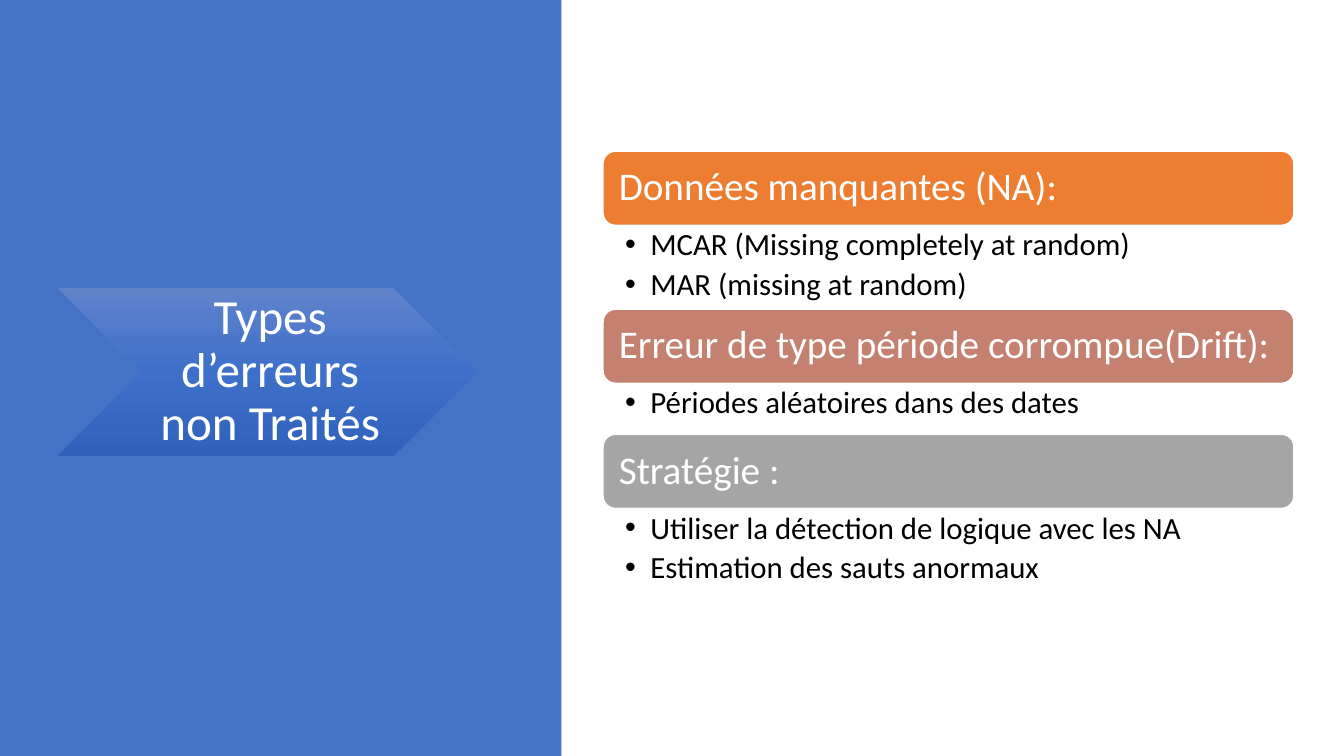
from copy import deepcopy

from pptx import Presentation
from pptx.dml.color import RGBColor
from pptx.enum.shapes import MSO_SHAPE as Shape
from pptx.enum.text import MSO_ANCHOR as Anchor, MSO_AUTO_SIZE as AutoSize, PP_ALIGN as Align
from pptx.oxml.ns import qn
from pptx.oxml.xmlchemy import OxmlElement
from pptx.util import Inches, Pt

COLORS = {
    "white": "FFFFFF",
    "black": "000000",
    "panel": "4472C4",
    "orange": "ED7D31",
    "clay": "C48170",
    "grey": "A5A5A5",
    "arrow_top": "6183CB",
    "arrow_middle": "3E70CA",
    "arrow_bottom": "3062BB",
}
FONT = "Calibri"
COMPARISON_LAYOUT = 4
LEFT, WIDTH, TOP, HEADING_HEIGHT = 44.87, 51.4, 20, 9.8

SECTIONS = [
    ("Données manquantes (NA):", "orange", 11.1,
     ["MCAR (Missing completely at random)", "MAR (missing at random)"]),
    ("Erreur de type période corrompue(Drift):", "clay", 6.75,
     ["Périodes aléatoires dans des dates"]),
    ("Stratégie :", "grey", 11.1,
     ["Utiliser la détection de logique avec les NA", "Estimation des sauts anormaux"]),
]


def rgb(name):
    return RGBColor.from_string(COLORS[name])


def add_bullet(para, indent):
    properties = para._p.get_or_add_pPr()
    properties.set("marL", str(indent))
    properties.set("indent", str(-indent))
    bullet = OxmlElement("a:buChar")
    bullet.set("char", "•")
    properties.append(bullet)


def write(box, lines, size, color="white", align=Align.LEFT, anchor=Anchor.MIDDLE,
          margins=(0.12, 0.12, 0.12, 0.12), after=0, bullets=False):
    frame = box.text_frame
    frame.word_wrap = True
    frame.auto_size = AutoSize.NONE
    frame.vertical_anchor = anchor
    (frame.margin_left, frame.margin_top,
     frame.margin_right, frame.margin_bottom) = map(Inches, margins)
    for index, line in enumerate(lines):
        para = frame.add_paragraph() if index else frame.paragraphs[0]
        para.alignment = align
        para.line_spacing = 0.9
        para.space_before = Pt(0)
        para.space_after = Pt(after)
        if bullets:
            add_bullet(para, Inches(0.25))
        span = para.add_run()
        span.text = line
        span.font.name = FONT
        span.font.size = Pt(size)
        span.font.bold = False
        span.font.color.rgb = rgb(color)


class SlideBuilder:
    def __init__(self, deck):
        self.deck = deck
        self.page = deck.slides.add_slide(deck.slide_layouts[COMPARISON_LAYOUT])
        self.bodies = [box for box in self.page.placeholders
                       if box != self.page.shapes.title]

    def area(self, left, top, width, height):
        across, down = self.deck.slide_width / 100, self.deck.slide_height / 100
        return (round(left * across), round(top * down),
                round(width * across), round(height * down))

    def shape(self, kind, area, fill=None, line=None):
        box = self.page.shapes.add_shape(kind, *self.area(*area))
        box.shadow.inherit = False
        if fill:
            box.fill.solid()
            box.fill.fore_color.rgb = rgb(fill)
        if line:
            box.line.color.rgb = rgb(line)
            box.line.width = Pt(1)
        else:
            box.line.fill.background()
        return box

    def arrow(self, area, colors):
        box = self.shape(Shape.CHEVRON, area)
        box.fill.gradient()
        box.fill.gradient_angle = 270
        stops = box.element.spPr.find(".//" + qn("a:gsLst"))
        stops.insert(1, deepcopy(stops[0]))
        for index, (stop, color) in enumerate(zip(box.fill.gradient_stops, colors)):
            stop.position = index / 2
            stop.color.rgb = rgb(color)

    def place(self, box, area):
        box.left, box.top, box.width, box.height = self.area(*area)
        self.page.shapes.element.append(box.element)

    def title(self, text, area):
        box = self.page.shapes.title
        self.place(box, area)
        write(box, [text], 35, align=Align.CENTER, margins=(0.05, 0.02, 0, 0.02))

    def heading(self, text, area, fill):
        box = self.shape(Shape.ROUNDED_RECTANGLE, area, fill, "white")
        write(box, [text], 28)

    def bullet_list(self, lines, area):
        box = self.bodies.pop(0)
        self.place(box, area)
        write(box, lines, 22, "black", anchor=Anchor.TOP,
              margins=(0.22, 0.04, 0.22, 0.04), after=4.4, bullets=True)

    def remove_empty(self):
        for box in self.bodies:
            self.page.shapes.element.remove(box.element)


def main():
    deck = Presentation()
    deck.slide_width, deck.slide_height = Inches(13.33), Inches(7.5)
    slide = SlideBuilder(deck)
    slide.shape(Shape.RECTANGLE, (0, 0, 41.78, 100), "panel")
    slide.arrow((4.3, 38.1, 31.2, 22.2), ["arrow_top", "arrow_middle", "arrow_bottom"])
    slide.title("Types d’erreurs non Traités", (10.55, 38.1, 18.75, 22.2))
    top = TOP
    for heading, color, list_height, lines in SECTIONS:
        slide.heading(heading, (LEFT, top, WIDTH, HEADING_HEIGHT), color)
        top += HEADING_HEIGHT
        slide.bullet_list(lines, (LEFT, top, WIDTH, list_height))
        top += list_height
    slide.remove_empty()
    deck.save("out.pptx")


if __name__ == "__main__":
    main()
